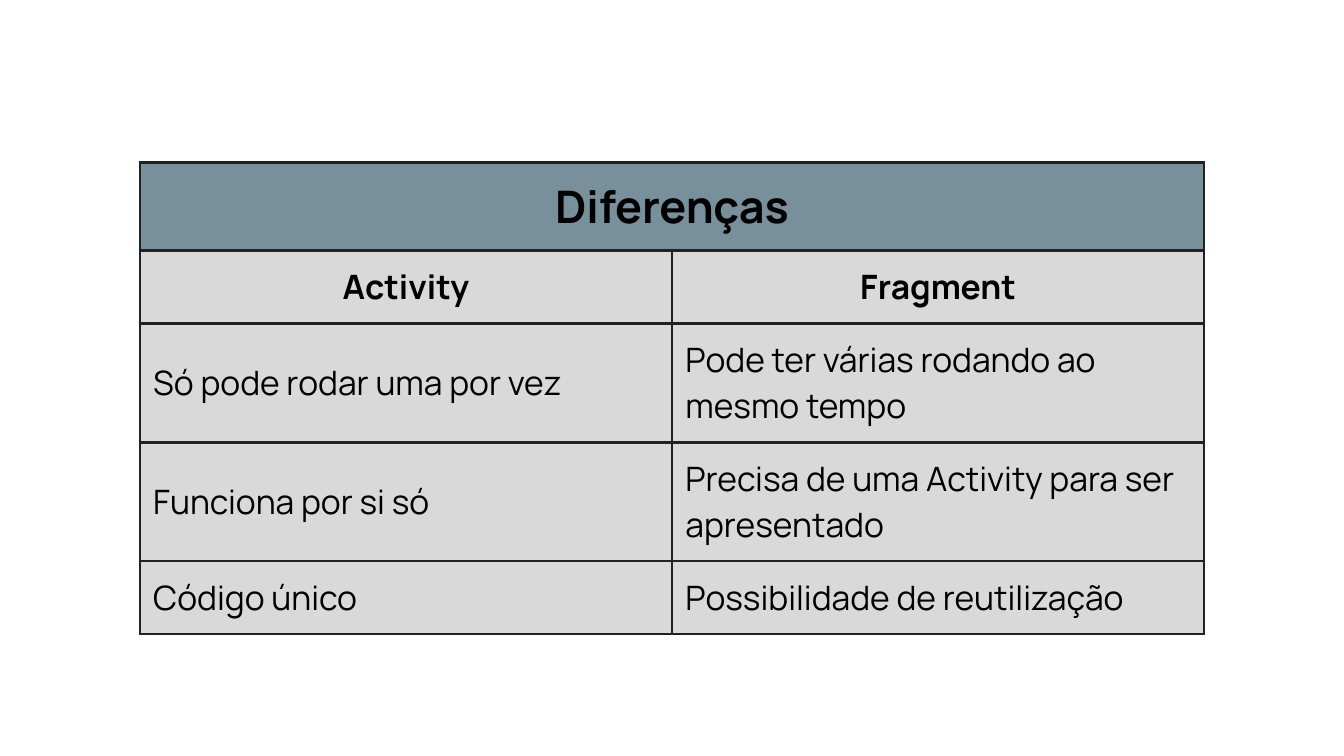
from dataclasses import dataclass

from lxml.etree import SubElement
from pptx import Presentation
from pptx.dml.color import RGBColor
from pptx.enum.text import MSO_ANCHOR, PP_ALIGN
from pptx.oxml.ns import qn
from pptx.table import _Cell
from pptx.util import Pt

COLORS = {"header": "78909C", "body": "D9D9D9", "border": "212121", "text": "000000"}
FONT = "Manrope"
COL_W = 285.12
TITLE_H, ROW_H = 24.5, 30.24


@dataclass
class Row:
    activity: str
    fragment: str
    bold: bool = False
    align: PP_ALIGN = PP_ALIGN.LEFT
    anchor: MSO_ANCHOR = MSO_ANCHOR.TOP  # of the Activity cell


ROWS = [
    Row("Activity", "Fragment", bold=True, align=PP_ALIGN.CENTER),
    Row("Só pode rodar uma por vez", "Pode ter várias rodando ao mesmo tempo",
        anchor=MSO_ANCHOR.MIDDLE),
    Row("Funciona por si só", "Precisa de uma Activity para ser apresentado",
        anchor=MSO_ANCHOR.MIDDLE),
    Row("Código único", "Possibilidade de reutilização"),
]


def set_borders(cell: _Cell, width: float = 1.5) -> None:
    tcPr = cell._tc.get_or_add_tcPr()
    for i, side in enumerate(("a:lnL", "a:lnR", "a:lnT", "a:lnB")):
        ln = SubElement(tcPr, qn(side), w=str(Pt(width)))
        fill = SubElement(ln, qn("a:solidFill"))
        SubElement(fill, qn("a:srgbClr"), val=COLORS["border"])
        tcPr.insert(i, ln)  # borders come before the fill


def write_cell(cell: _Cell, text: str, *, size: float = 18, bold: bool = False,
               fill: str = "body", align: PP_ALIGN = PP_ALIGN.LEFT,
               anchor: MSO_ANCHOR = MSO_ANCHOR.TOP) -> None:
    cell.margin_left = cell.margin_right = Pt(7.2)
    cell.margin_top = cell.margin_bottom = Pt(7.2)
    cell.vertical_anchor = anchor
    cell.fill.solid()
    cell.fill.fore_color.rgb = RGBColor.from_string(COLORS[fill])
    p = cell.text_frame.paragraphs[0]
    p.alignment = align
    r = p.add_run()
    r.text = text
    r.font.name, r.font.size, r.font.bold = FONT, Pt(size), bold
    r.font.color.rgb = RGBColor.from_string(COLORS["text"])


# Slide
prs = Presentation()
prs.slide_width, prs.slide_height = Pt(720), Pt(405)
s = prs.slides.add_slide(prs.slide_layouts[6])

# Table grid
table = s.shapes.add_table(len(ROWS) + 1, 2, Pt(74.88), Pt(87.12), Pt(2 * COL_W),
                           Pt(TITLE_H + len(ROWS) * ROW_H)).table
table.first_row = table.horz_banding = False
for col in table.columns:
    col.width = Pt(COL_W)
for i, row in enumerate(table.rows):
    row.height = Pt(ROW_H if i else TITLE_H)

# Heading across both columns
table.cell(0, 0).merge(table.cell(0, 1))
write_cell(table.cell(0, 0), "Diferenças", size=24, bold=True, fill="header",
           align=PP_ALIGN.CENTER)

# Comparison rows
for i, row in enumerate(ROWS, start=1):
    write_cell(table.cell(i, 0), row.activity, bold=row.bold, align=row.align,
               anchor=row.anchor)
    write_cell(table.cell(i, 1), row.fragment, bold=row.bold, align=row.align)

for cell in table.iter_cells():
    set_borders(cell)

prs.save("out.pptx")
